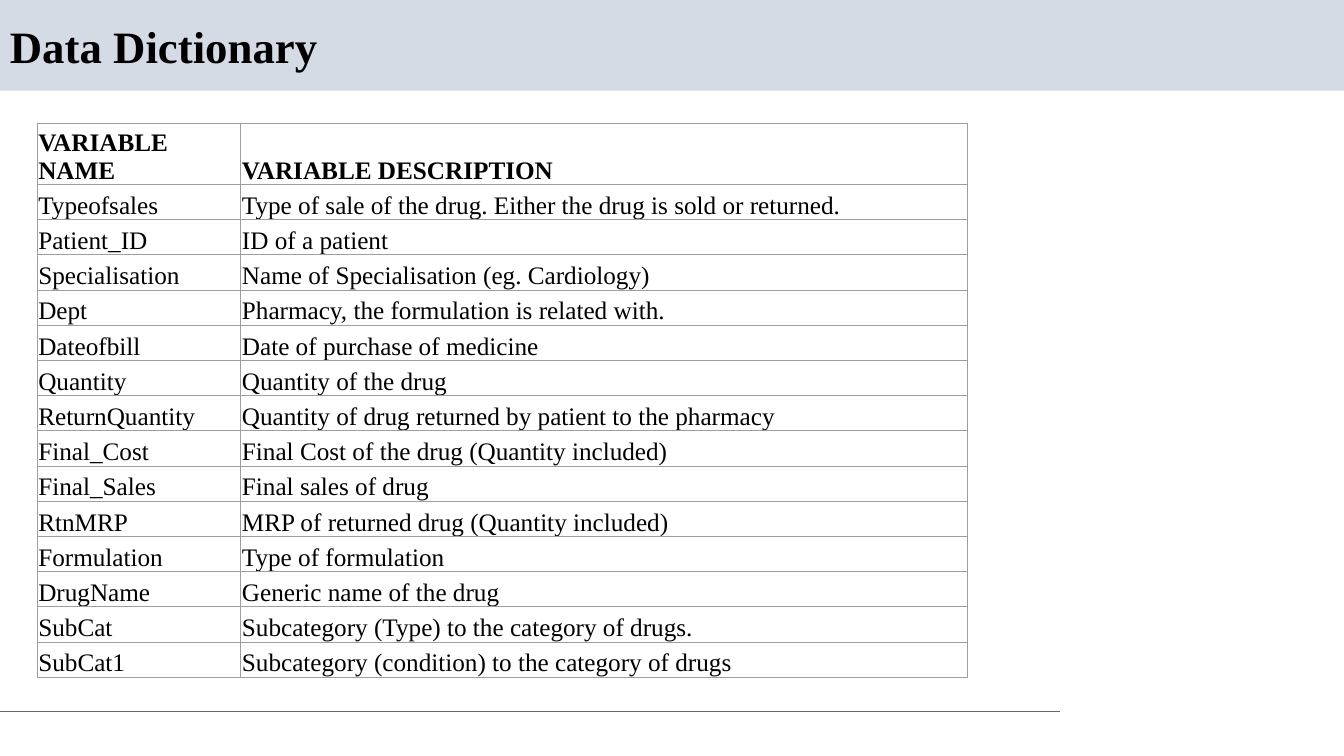
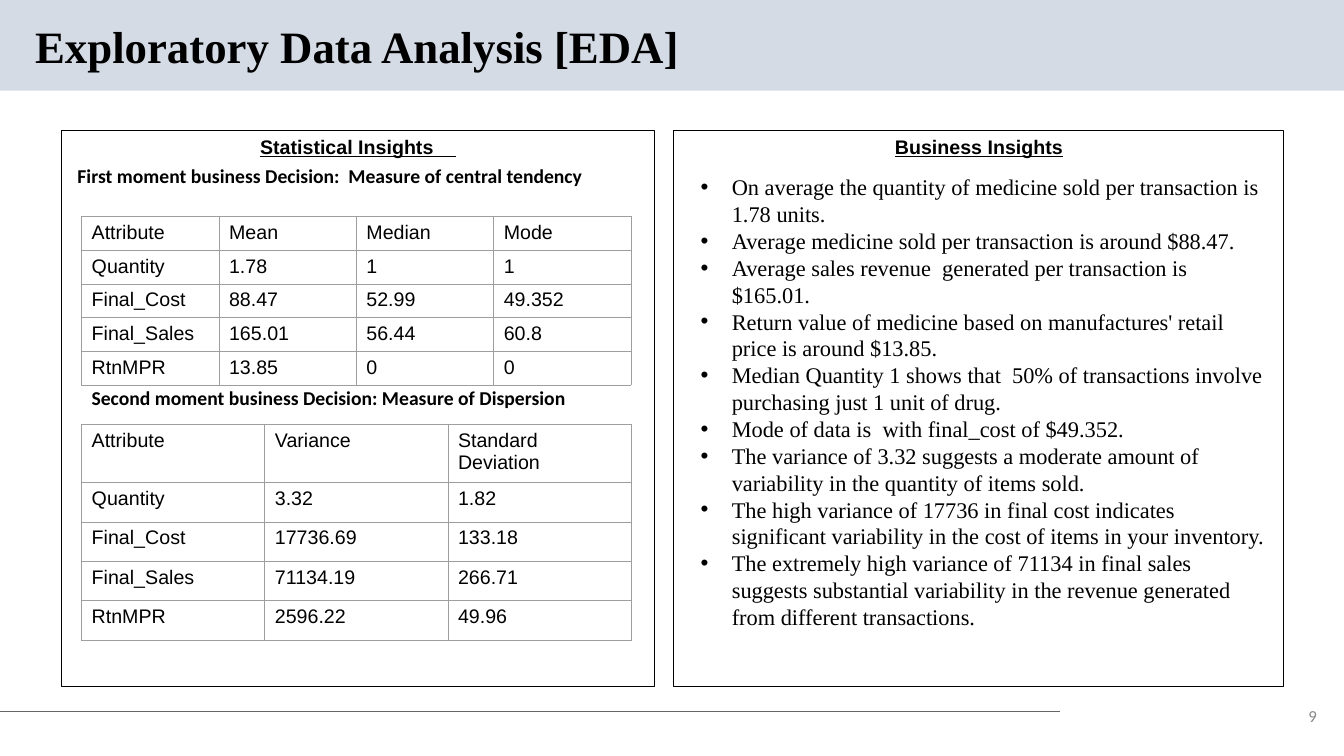
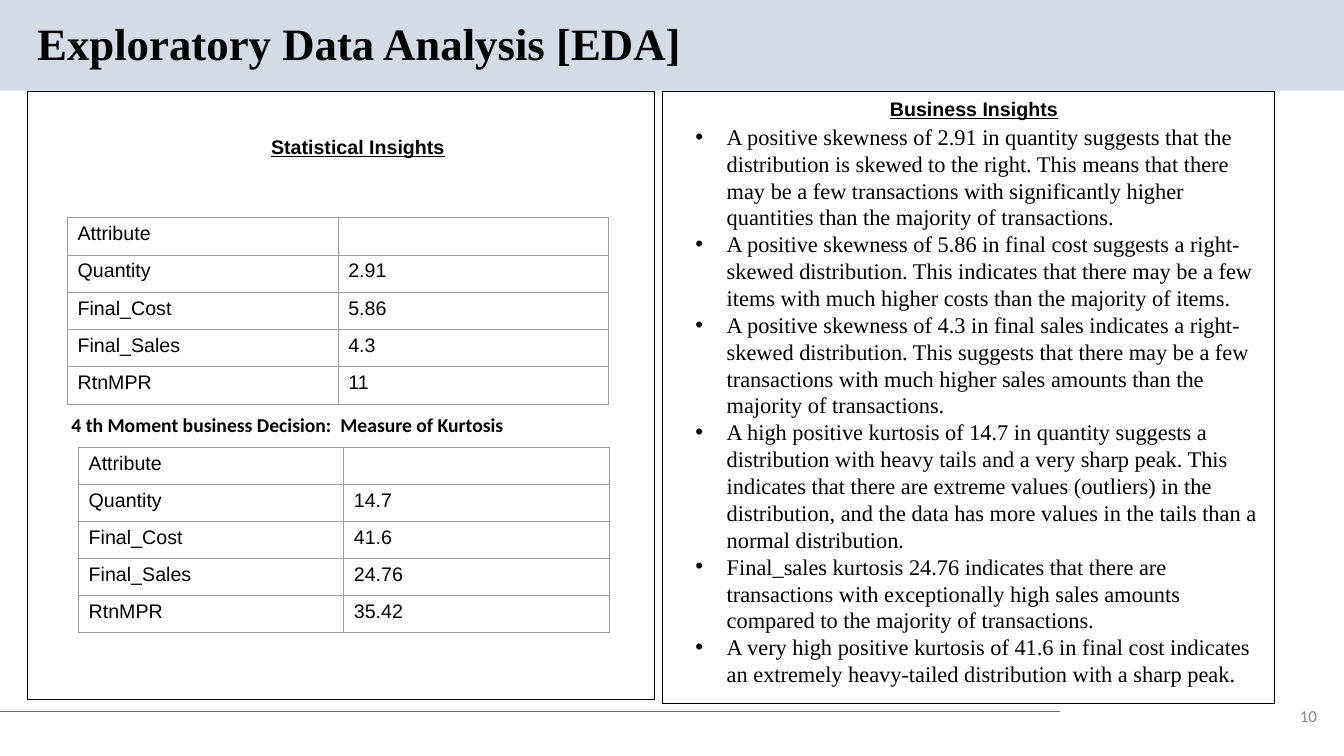
from lxml import etree
from pptx import Presentation
from pptx.dml.color import RGBColor
from pptx.enum import shapes, text
from pptx.oxml import ns
from pptx.util import Inches, Pt

SERIF, SANS, HUMANIST = "Times New Roman", "Arial", "Calibri"
BLACK, BAND, RULE, GRID, NUMBER = "000000", "D5DBE5", "666666", "9E9E9E", "888888"
DEFAULT_INSETS = (0.1, 0.05, 0.1, 0.05)
WIDE_INSETS = (0.1, 0.1, 0.1, 0.1)
TIGHT_INSETS = (0.01, 0.01, 0.01, 0)

DICTIONARY = [
    ("VARIABLE NAME", "VARIABLE DESCRIPTION"),
    ("Typeofsales", "Type of sale of the drug. Either the drug is sold or returned."),
    ("Patient_ID", "ID of a patient"),
    ("Specialisation", "Name of Specialisation (eg. Cardiology)"),
    ("Dept", "Pharmacy, the formulation is related with."),
    ("Dateofbill", "Date of purchase of medicine"),
    ("Quantity", "Quantity of the drug"),
    ("ReturnQuantity", "Quantity of drug returned by patient to the pharmacy"),
    ("Final_Cost", "Final Cost of the drug (Quantity included)"),
    ("Final_Sales", "Final sales of drug"),
    ("RtnMRP", "MRP of returned drug (Quantity included)"),
    ("Formulation", "Type of formulation"),
    ("DrugName", "Generic name of the drug"),
    ("SubCat", "Subcategory (Type) to the category of drugs."),
    ("SubCat1", "Subcategory (condition) to the category of drugs"),
]

ATTRIBUTES = ["Attribute", "Quantity", "Final_Cost", "Final_Sales", "RtnMPR"]
MEAN = ["Mean", "1.78", "88.47", "165.01", "13.85"]
MEDIAN = ["Median", "1", "52.99", "56.44", "0"]
MODE = ["Mode", "1", "49.352", "60.8", "0"]
VARIANCE = ["Variance", "3.32", "17736.69", "71134.19", "2596.22"]
DEVIATION = ["Standard Deviation", "1.82", "133.18", "266.71", "49.96"]
SKEWNESS = ["", "2.91", "5.86", "4.3", "11"]
KURTOSIS = ["", "14.7", "41.6", "24.76", "35.42"]

ANALYSES = [
    {
        "title": (0.25, 0.2, 11.5, 0.57),
        "number": "9",
        "frames": [(0.61, 1.29, 5.88, 5.52), (6.68, 1.29, 6.05, 5.52)],
        "headings": [
            ("Statistical Insights    ", (0.61, 1.29, 5.88, 0.34)),
            ("Business Insights", (6.77, 1.29, 5.88, 0.34)),
        ],
        "captions": [
            ("First moment business Decision:  Measure of central tendency", (0.67, 1.58)),
            ("Second moment business Decision: Measure of Dispersion", (0.81, 3.78)),
        ],
        "tables": [
            ((0.81, 2.15, 5.45, 1.67), [ATTRIBUTES, MEAN, MEDIAN, MODE], None),
            ((0.81, 4.21, 5.45, 2.14), [ATTRIBUTES, VARIANCE, DEVIATION], 0.58),
        ],
        "insights_box": (6.85, 1.62, 5.79, 5.47),
        "insights": [
            "On average the quantity of medicine sold per transaction is 1.78 units.",
            "Average medicine sold per transaction is around $88.47.",
            "Average sales revenue  generated per transaction is $165.01.",
            "Return value of medicine based on manufactures' retail price is around $13.85.",
            "Median Quantity 1 shows that  50% of transactions involve purchasing just 1 unit of drug.",
            "Mode of data is  with final_cost of $49.352.",
            "The variance of 3.32 suggests a moderate amount of variability in the quantity of items sold.",
            "The high variance of 17736 in final cost indicates significant variability in the cost "
            "of items in your inventory.",
            "The extremely high variance of 71134 in final sales suggests substantial variability in "
            "the revenue generated from different transactions.",
        ],
    },
    {
        "title": (0.27, 0.16, 10.11, 0.59),
        "number": "10",
        "frames": [(0.27, 0.91, 6.22, 6.03), (6.57, 0.91, 6.07, 6.07)],
        "headings": [
            ("Statistical Insights", (0.61, 1.29, 5.88, 0.34)),
            ("Business Insights", (6.8, 0.91, 5.72, 0.34)),
        ],
        "captions": [("4 th Moment business Decision:  Measure of Kurtosis", (0.61, 4.05))],
        "tables": [
            ((0.67, 2.16, 5.37, 1.85), [ATTRIBUTES, SKEWNESS], None),
            ((0.78, 4.44, 5.26, 1.84), [ATTRIBUTES, KURTOSIS], None),
        ],
        "insights_box": (6.8, 1.12, 5.84, 5.86),
        "insights": [
            "A positive skewness of 2.91 in quantity suggests that the distribution is skewed to the "
            "right. This means that there may be a few transactions with significantly higher "
            "quantities than the majority of transactions.",
            "A positive skewness of 5.86 in final cost suggests a right-skewed distribution. This "
            "indicates that there may be a few items with much higher costs than the majority of items.",
            "A positive skewness of 4.3 in final sales indicates a right-skewed distribution. This "
            "suggests that there may be a few transactions with much higher sales amounts than the "
            "majority of transactions.",
            "A high positive kurtosis of 14.7 in quantity suggests a distribution with heavy tails and "
            "a very sharp peak. This indicates that there are extreme values (outliers) in the "
            "distribution, and the data has more values in the tails than a normal distribution.",
            "Final_sales kurtosis 24.76 indicates that there are transactions with exceptionally high "
            "sales amounts compared to the majority of transactions.",
            "A very high positive kurtosis of 41.6 in final cost indicates an extremely heavy-tailed "
            "distribution with a sharp peak.",
        ],
    },
]


def rgb(value):
    return RGBColor.from_string(value)


def inches(values):
    return [Inches(value) for value in values]


def add_run(paragraph, words, font, size, bold=False, color=BLACK, underline=None):
    run = paragraph.add_run()
    run.text = words
    run.font.name = font
    run.font.size = Pt(size)
    run.font.bold = bold
    run.font.underline = underline
    run.font.color.rgb = rgb(color)


def add_text_box(slide, box, insets=DEFAULT_INSETS, anchor=text.MSO_ANCHOR.TOP):
    frame = slide.shapes.add_textbox(*inches(box)).text_frame
    frame.word_wrap = True
    frame.vertical_anchor = anchor
    frame.margin_left, frame.margin_top, frame.margin_right, frame.margin_bottom = inches(insets)
    return frame


def add_rectangle(slide, box, fill=None, line=None):
    shape = slide.shapes.add_shape(shapes.MSO_SHAPE.RECTANGLE, *inches(box))
    shape.shadow.inherit = False
    if fill:
        shape.fill.solid()
        shape.fill.fore_color.rgb = rgb(fill)
    else:
        shape.fill.background()
    if line:
        shape.line.color.rgb = rgb(line)
        shape.line.width = Pt(0.75)
    else:
        shape.line.fill.background()


def add_base_slide(presentation, title, title_box, number=None):
    slide = presentation.slides.add_slide(presentation.slide_layouts[6])
    add_rectangle(slide, (0, 0, 13.33, 0.9), fill=BAND)
    rule = slide.shapes.add_connector(
        shapes.MSO_CONNECTOR.STRAIGHT, *inches((0, 7.06, 10.51, 7.06)))
    rule.line.color.rgb = rgb(RULE)
    rule.line.width = Pt(0.75)
    etree.SubElement(rule._element.spPr, ns.qn("a:effectLst"))
    paragraph = add_text_box(slide, title_box, anchor=text.MSO_ANCHOR.MIDDLE).paragraphs[0]
    paragraph.line_spacing = 0.9
    add_run(paragraph, title, SERIF, 32, bold=True)
    if number:
        box = (12.73, 6.94, 0.43, 0.32)
        paragraph = add_text_box(slide, box, anchor=text.MSO_ANCHOR.MIDDLE).paragraphs[0]
        paragraph.alignment = text.PP_ALIGN.RIGHT
        add_run(paragraph, number, HUMANIST, 12, color=NUMBER)
    return slide


def add_borders(cell):
    properties = cell._tc.get_or_add_tcPr()
    for position, side in enumerate(("a:lnL", "a:lnR", "a:lnT", "a:lnB")):
        border = etree.Element(ns.qn(side), w=str(Pt(0.75)))
        fill = etree.SubElement(border, ns.qn("a:solidFill"))
        etree.SubElement(fill, ns.qn("a:srgbClr"), val=GRID)
        properties.insert(position, border)


def add_grid(slide, box, rows, widths, header_height, font, size,
             insets=DEFAULT_INSETS, anchor=text.MSO_ANCHOR.TOP, bold_header=False):
    table = slide.shapes.add_table(len(rows), len(widths), *inches(box)).table
    table.first_row = table.horz_banding = False
    body_height = (box[3] - header_height) / (len(rows) - 1)
    for column, width in zip(table.columns, widths):
        column.width = Inches(width)
    for row_index, row in enumerate(rows):
        table.rows[row_index].height = Inches(body_height if row_index else header_height)
        for column_index, words in enumerate(row):
            cell = table.cell(row_index, column_index)
            cell.fill.background()
            cell.vertical_anchor = anchor
            cell.margin_left, cell.margin_top, cell.margin_right, cell.margin_bottom = inches(insets)
            add_borders(cell)
            paragraph = cell.text_frame.paragraphs[0]
            if words:
                add_run(paragraph, words, font, size, bold=bold_header and row_index == 0)
            else:
                etree.SubElement(paragraph._p, ns.qn("a:endParaRPr"), sz=str(size * 100))


def add_bullets(slide, box, items):
    frame = add_text_box(slide, box, WIDE_INSETS)
    for index, item in enumerate(items):
        paragraph = frame.add_paragraph() if index else frame.paragraphs[0]
        properties = paragraph._p.get_or_add_pPr()
        properties.set("marL", str(Inches(0.31)))
        properties.set("indent", str(-Inches(0.31)))
        color = etree.SubElement(properties, ns.qn("a:buClr"))
        etree.SubElement(color, ns.qn("a:srgbClr"), val=BLACK)
        etree.SubElement(properties, ns.qn("a:buFont"), typeface=SANS)
        etree.SubElement(properties, ns.qn("a:buChar"), char="•")
        add_run(paragraph, item, SERIF, 16)


def add_dictionary_slide(presentation):
    slide = add_base_slide(presentation, "Data Dictionary", (0, 0.19, 11.5, 0.59))
    add_grid(slide, (0.37, 1.22, 9.23, 5.49), DICTIONARY, (2.02, 7.21), 0.6, SERIF, 18,
             TIGHT_INSETS, text.MSO_ANCHOR.BOTTOM, bold_header=True)


def add_analysis_slide(presentation, analysis):
    slide = add_base_slide(presentation, "Exploratory Data Analysis [EDA]",
                           analysis["title"], analysis["number"])
    for box in analysis["frames"]:
        add_rectangle(slide, box, line=BLACK)
    for words, box in analysis["headings"]:
        paragraph = add_text_box(slide, box).paragraphs[0]
        paragraph.alignment = text.PP_ALIGN.CENTER
        add_run(paragraph, words, SANS, 14, bold=True, underline=True)
    for words, corner in analysis["captions"]:
        paragraph = add_text_box(slide, (*corner, 5.59, 0.34)).paragraphs[0]
        add_run(paragraph, words, HUMANIST, 14, bold=True)
    for box, columns, header_height in analysis["tables"]:
        rows = list(zip(*columns))
        widths = [box[2] / len(columns)] * len(columns)
        add_grid(slide, box, rows, widths, header_height or box[3] / len(rows), SANS, 14)
    add_bullets(slide, analysis["insights_box"], analysis["insights"])


def main():
    presentation = Presentation()
    presentation.slide_width, presentation.slide_height = inches((13.33, 7.5))
    add_dictionary_slide(presentation)
    for analysis in ANALYSES:
        add_analysis_slide(presentation, analysis)
    presentation.save("out.pptx")


if __name__ == "__main__":
    main()
